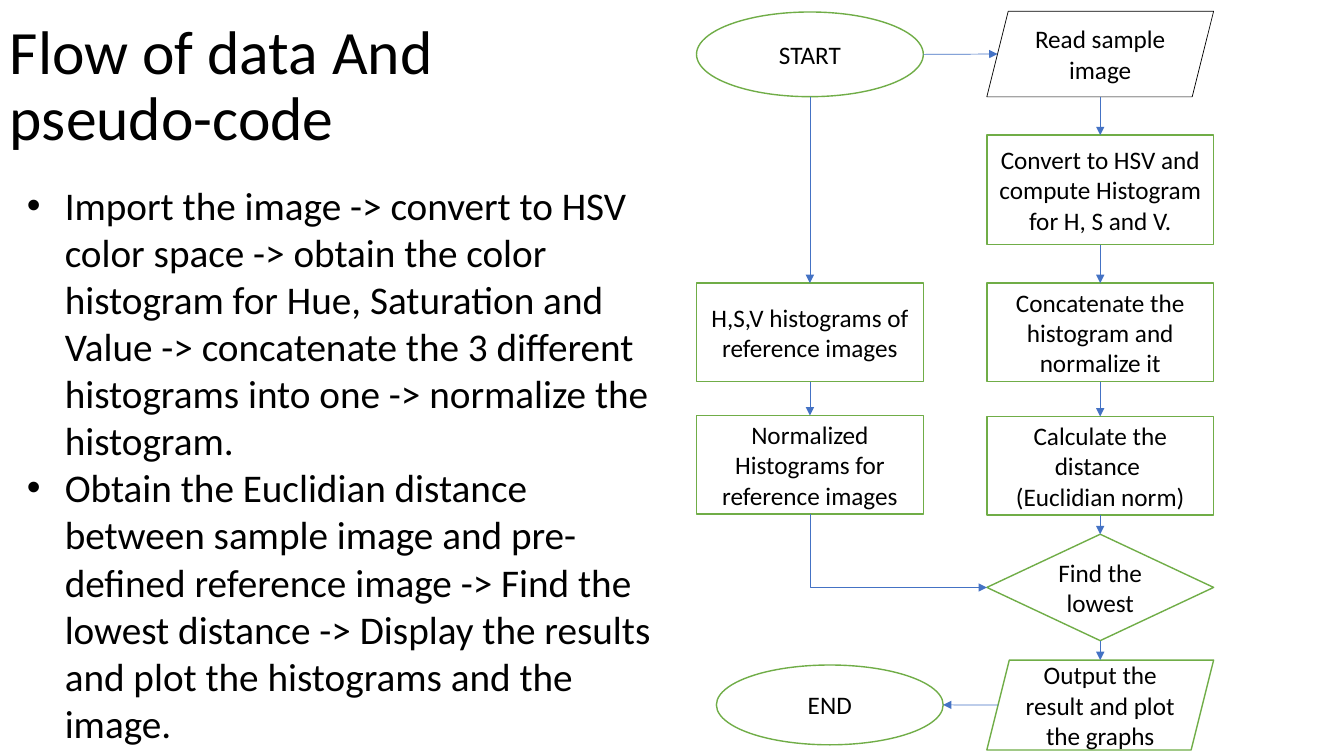
from dataclasses import dataclass

from lxml import etree
from pptx import Presentation
from pptx.dml.color import RGBColor
from pptx.enum.shapes import MSO_CONNECTOR, MSO_SHAPE
from pptx.enum.text import MSO_ANCHOR, PP_ALIGN
from pptx.oxml.ns import qn
from pptx.util import Pt

ELLIPSE, BOX = MSO_SHAPE.OVAL, MSO_SHAPE.RECTANGLE
DATA, DECISION = MSO_SHAPE.PARALLELOGRAM, MSO_SHAPE.DIAMOND
STRAIGHT, ELBOW = MSO_CONNECTOR.STRAIGHT, MSO_CONNECTOR.ELBOW
MIDDLE, TOP, CENTER = MSO_ANCHOR.MIDDLE, MSO_ANCHOR.TOP, PP_ALIGN.CENTER


@dataclass(frozen=True)
class Theme:
    font: str = "Calibri"
    text: RGBColor = RGBColor(0, 0, 0)
    paper: RGBColor = RGBColor(255, 255, 255)
    outline: RGBColor = RGBColor(0x70, 0xAD, 0x47)
    arrow: RGBColor = RGBColor(0x44, 0x72, 0xC4)
    title_size: int = 44
    body_size: int = 28
    node_size: int = 18
    outline_width: float = 1
    thin_width: float = 0.5


THEME = Theme()

# Flowchart grid, in points
NODE_WIDTH = 162
LEFT_COLUMN, RIGHT_COLUMN, END_LEFT = 497.5, 704.9, 511.7

# key: (outline, left, top, height, text)
NODES = {
    "start": (ELLIPSE, LEFT_COLUMN, 8.6, 60.5, "START"),
    "read": (DATA, RIGHT_COLUMN, 8, 61.2, "Read sample image"),
    "convert": (BOX, RIGHT_COLUMN, 96.5, 78.2,
                "Convert to HSV and compute Histogram for H, S and V."),
    "concatenate": (BOX, RIGHT_COLUMN, 202.2, 70.5,
                    "Concatenate the histogram and normalize it"),
    "distance": (BOX, RIGHT_COLUMN, 297.5, 70.5,
                 "Calculate the distance \v(Euclidian norm)"),
    "lowest": (DECISION, RIGHT_COLUMN, 381.6, 76, "Find the lowest"),
    "output": (DATA, RIGHT_COLUMN, 471.5, 64.2,
               "Output the result and plot the graphs"),
    "reference": (BOX, LEFT_COLUMN, 202.2, 70.5,
                  "H,S,V histograms of reference images"),
    "normalized": (BOX, LEFT_COLUMN, 296.8, 70.5,
                   "Normalized Histograms for reference images"),
    "end": (ELLIPSE, END_LEFT, 475, 57, "END"),
}

DOWNWARD_CHAINS = [
    ("start", "reference", "normalized"),
    ("read", "convert", "concatenate", "distance", "lowest", "output"),
]

STEPS = [
    "Import the image -> convert to HSV color space -> obtain the color "
    "histogram for Hue, Saturation and Value -> concatenate the 3 different "
    "histograms into one -> normalize the histogram.",
    "Obtain the Euclidian distance between sample image and pre-defined "
    "reference image -> Find the lowest distance -> Display the results and "
    "plot the histograms and the image.",
]


def style_paragraph(paragraph, size):
    paragraph.font.name = THEME.font
    paragraph.font.size = Pt(size)
    paragraph.font.color.rgb = THEME.text


def add_text(slide, left, top, width, height, lines, size, anchor):
    box = slide.shapes.add_textbox(Pt(left), Pt(top), Pt(width), Pt(height))
    frame = box.text_frame
    frame.word_wrap = True
    frame.vertical_anchor = anchor
    frame.text = "\n".join(lines)
    for paragraph in frame.paragraphs:
        style_paragraph(paragraph, size)
    return frame.paragraphs


def add_bullet(paragraph, indent):
    properties = paragraph._p.get_or_add_pPr()
    properties.set("marL", str(Pt(indent)))
    properties.set("indent", str(Pt(-indent)))
    etree.SubElement(properties, qn("a:buFont")).set("typeface", "Arial")
    etree.SubElement(properties, qn("a:buChar")).set("char", "•")


def add_node(slide, kind, left, top, height, text):
    shape = slide.shapes.add_shape(
        kind, Pt(left), Pt(top), Pt(NODE_WIDTH), Pt(height))
    shape.shadow.inherit = False
    shape.fill.solid()
    shape.fill.fore_color.rgb = THEME.paper
    shape.line.color.rgb = THEME.outline
    shape.line.width = Pt(THEME.outline_width)
    frame = shape.text_frame
    frame.word_wrap = True
    frame.vertical_anchor = MIDDLE
    frame.text = text
    paragraph = frame.paragraphs[0]
    paragraph.alignment = CENTER
    style_paragraph(paragraph, THEME.node_size)
    return shape


def add_arrow(slide, start, end, kind=STRAIGHT):
    points = [round(value) for value in (*start, *end)]
    connector = slide.shapes.add_connector(kind, *points)
    connector.line.color.rgb = THEME.arrow
    connector.line.width = Pt(THEME.thin_width)
    line = connector.line._get_or_add_ln()
    etree.SubElement(line, qn("a:tailEnd")).set("type", "triangle")
    etree.SubElement(connector._element.spPr, qn("a:effectLst"))
    return connector


def add_down_then_right_arrow(slide, start, end):
    """A one-bend connector is stored as a quarter turn of its own frame."""
    middle_x, middle_y = (start[0] + end[0]) / 2, (start[1] + end[1]) / 2
    half_run, half_drop = (end[0] - start[0]) / 2, (end[1] - start[1]) / 2
    connector = add_arrow(
        slide,
        (middle_x + half_drop, middle_y - half_run),
        (middle_x - half_drop, middle_y + half_run),
        ELBOW)
    properties = connector._element.spPr
    properties.find(qn("a:xfrm")).set("rot", str(270 * 60000))
    properties.find(qn("a:prstGeom")).set("prst", "bentConnector2")


def top_of(shape):
    return shape.left + shape.width / 2, shape.top


def bottom_of(shape):
    return shape.left + shape.width / 2, shape.top + shape.height


def left_of(shape, slant=0):
    return shape.left + slant * shape.height, shape.top + shape.height / 2


def right_of(shape):
    return shape.left + shape.width, shape.top + shape.height / 2


def main():
    presentation = Presentation()
    presentation.slide_width, presentation.slide_height = Pt(960), Pt(540)
    slide = presentation.slides.add_slide(presentation.slide_layouts[6])

    # Title and pseudo-code
    title = add_text(slide, 0, 0, 400.3, 125.3,
                     ["Flow of data And pseudo-code"], THEME.title_size, MIDDLE)
    title[0].line_spacing = 0.9
    for paragraph in add_text(slide, 12.2, 126, 460.8, 436.3,
                              STEPS, THEME.body_size, TOP):
        add_bullet(paragraph, 27)

    # Flowchart nodes
    nodes = {key: add_node(slide, *node) for key, node in NODES.items()}
    read = nodes["read"]
    read.fill.background()
    read.line.color.rgb = THEME.text
    read.line.width = Pt(THEME.thin_width)

    # Arrows; a parallelogram's side is met halfway along its slant
    slant = 0.125
    for chain in DOWNWARD_CHAINS:
        for upper, lower in zip(chain, chain[1:]):
            add_arrow(slide, bottom_of(nodes[upper]), top_of(nodes[lower]))
    add_arrow(slide, right_of(nodes["start"]), left_of(read, slant))
    add_arrow(slide, left_of(nodes["output"], slant), right_of(nodes["end"]))
    add_down_then_right_arrow(
        slide, bottom_of(nodes["normalized"]), left_of(nodes["lowest"]))

    presentation.save("out.pptx")


if __name__ == "__main__":
    main()
